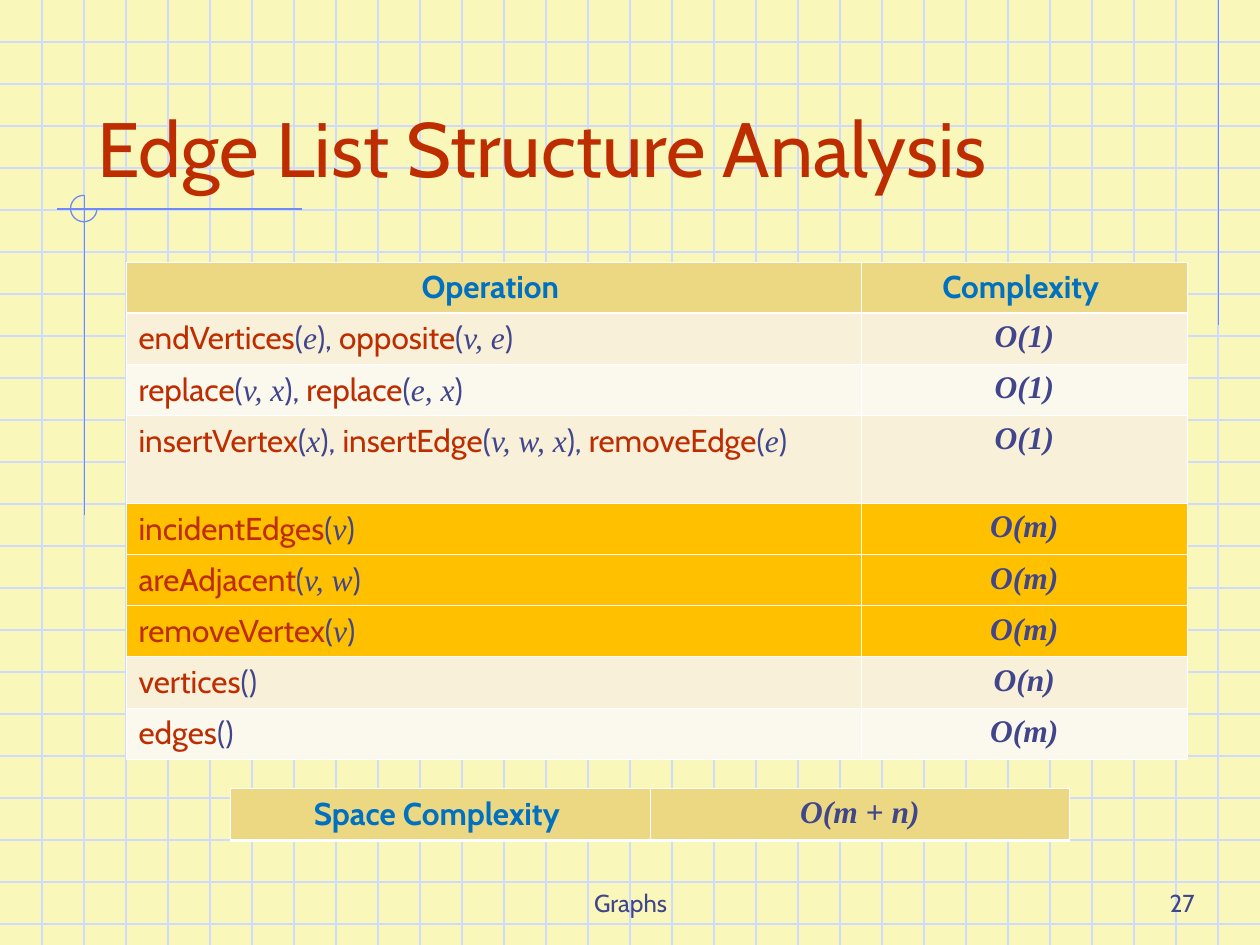
from dataclasses import dataclass

from lxml.etree import SubElement
from pptx import Presentation
from pptx.dml.color import RGBColor
from pptx.enum.shapes import MSO_CONNECTOR as Connector, MSO_SHAPE as Shape
from pptx.enum.text import MSO_ANCHOR as Anchor, MSO_AUTO_SIZE as AutoSize, PP_ALIGN as Align
from pptx.oxml.ns import qn
from pptx.util import Inches, Pt


@dataclass(frozen=True)
class Theme:
    # Colours
    paper: str = "F9F8BA"
    grid: str = "CFDBFD"
    rule: str = "6F89F7"
    accent: str = "BE2D00"
    text: str = "40458C"
    heading: str = "0070C0"
    head_fill: str = "ECD882"
    band_dark: str = "F8F0D8"
    band_light: str = "FBF8ED"
    highlight: str = "FFC000"
    border: str = "FFFFFF"
    # Fonts and sizes
    sans: str = "Cabin"
    serif: str = "Times New Roman"
    title_size: int = 44
    table_size: int = 18
    footer_size: int = 14
    # Line widths
    line: float = 0.75
    thin: float = 0.45
    thick: float = 1.47


def rgb(color):
    return RGBColor.from_string(color)


class SlideBuilder:
    def __init__(self, prs, theme):
        self.theme = theme
        self.slide = prs.slides.add_slide(prs.slide_layouts[5])
        fill = self.slide.background.fill
        fill.solid()
        fill.fore_color.rgb = rgb(theme.paper)

    def run(self, p, text, size, color, font=None, bold=False, italic=False):
        r = p.add_run()
        r.text = text
        f = r.font
        f.name, f.size, f.bold, f.italic = font or self.theme.sans, Pt(size), bold, italic
        f.color.rgb = rgb(color)

    def line(self, x1, y1, x2, y2, color):
        ends = [Inches(v) for v in (x1, y1, x2, y2)]
        ln = self.slide.shapes.add_connector(Connector.STRAIGHT, *ends)
        ln.line.color.rgb = rgb(color)
        ln.line.width = Pt(self.theme.line)
        SubElement(ln.element.spPr, qn("a:effectLst"))

    def arc(self, x, y, size):
        """Three quarters of a circle, open at the upper right."""
        sp = self.slide.shapes.add_shape(
            Shape.ARC, Inches(x), Inches(y), Inches(size), Inches(size))
        sp.adjustments[0] = 0
        sp.adjustments[1] = 162  # 270 degrees
        sp.shadow.inherit = False
        sp.fill.background()
        sp.line.color.rgb = rgb(self.theme.rule)
        sp.line.width = Pt(self.theme.line)

    def title(self, text, x, y, w, h):
        sp = self.slide.shapes.title
        self.slide.shapes.element.append(sp.element)  # above the grid
        sp.left, sp.top, sp.width, sp.height = (Inches(v) for v in (x, y, w, h))
        tf = sp.text_frame
        tf.auto_size, tf.word_wrap = AutoSize.NONE, True
        tf.vertical_anchor = Anchor.BOTTOM
        p = tf.paragraphs[0]
        p.alignment = Align.LEFT
        self.run(p, text, self.theme.title_size, self.theme.accent)

    def footer(self, text, x, w, align):
        sp = self.slide.shapes.add_textbox(Inches(x), Inches(6.83), Inches(w), Inches(0.5))
        tf = sp.text_frame
        tf.word_wrap = True
        tf.vertical_anchor = Anchor.BOTTOM
        p = tf.paragraphs[0]
        p.alignment = align
        self.run(p, text, self.theme.footer_size, self.theme.text)

    def table(self, x, y, cols, rows):
        sp = self.slide.shapes.add_table(
            len(rows), len(cols), Inches(x), Inches(y), Inches(sum(cols)), Inches(sum(rows)))
        tbl = sp.table
        tbl.first_row = tbl.horz_banding = False
        for col, width in zip(tbl.columns, cols):
            col.width = Inches(width)
        for row, height in zip(tbl.rows, rows):
            row.height = Inches(height)
        return tbl

    def cell(self, cell, fill, align=Align.CENTER, top=None, bottom=None):
        """Style a cell and return its paragraph."""
        t = self.theme
        tc_pr = cell._tc.get_or_add_tcPr()
        widths = {"a:lnL": t.thin, "a:lnR": t.thin,
                  "a:lnT": top or t.thin, "a:lnB": bottom or t.thin}
        for tag, width in widths.items():
            ln = SubElement(tc_pr, qn(tag), w=str(Pt(width)))
            SubElement(SubElement(ln, qn("a:solidFill")), qn("a:srgbClr"), val=t.border)
        cell.fill.solid()
        cell.fill.fore_color.rgb = rgb(fill)
        p = cell.text_frame.paragraphs[0]
        p.alignment = align
        return p

    def heading(self, p, text):
        self.run(p, text, self.theme.table_size, self.theme.heading, bold=True)

    def big_o(self, p, text):
        t = self.theme
        self.run(p, text, t.table_size, t.text, t.serif, bold=True, italic=True)

    def calls(self, p, calls):
        """Write calls such as name(args), with the arguments in italics."""
        t = self.theme
        size = t.table_size
        for i, (name, args) in enumerate(calls, 1):
            close = ")" if i == len(calls) else "), "
            self.run(p, name, size, t.accent)
            if args:
                self.run(p, "(", size, t.text)
                self.run(p, args, size, t.text, t.serif, italic=True)
                self.run(p, close, size, t.text)
            else:
                self.run(p, "(" + close, size, t.text)


def main():
    theme = Theme()
    prs = Presentation()
    prs.slide_width, prs.slide_height = Inches(10), Inches(7.5)
    s = SlideBuilder(prs, theme)

    # Graph paper: three squares to the inch
    for i in range(1, 23):
        s.line(0, i / 3, 10, i / 3, theme.grid)
    for i in range(1, 30):
        s.line(i / 3, 0, i / 3, 7.5, theme.grid)

    # Ruled ornaments
    s.line(9.67, 0, 9.67, 2.58, theme.rule)
    s.line(2.4, 1.66, 0.45, 1.66, theme.rule)
    s.line(0.67, 1.55, 0.67, 4.09, theme.rule)
    s.arc(0.56, 1.55, 0.21)

    # Footer and title
    s.footer("Graphs", 3.42, 3.17, Align.CENTER)
    s.footer("27", 7.5, 2.08, Align.RIGHT)
    s.title("Edge List Structure Analysis", 0.67, 0.33, 9.08, 1.25)

    # Operations table
    dark, light, high = theme.band_dark, theme.band_light, theme.highlight
    operations = [
        ([("endVertices", "e"), ("opposite", "v, e")], "O(1)", dark, 0.4),
        ([("replace", "v, x"), ("replace", "e, x")], "O(1)", light, 0.4),
        ([("insertVertex", "x"), ("insertEdge", "v, w, x"), ("removeEdge", "e")],
         "O(1)", dark, 0.7),
        ([("incidentEdges", "v")], "O(m)", high, 0.4),
        ([("areAdjacent", "v, w")], "O(m)", high, 0.4),
        ([("removeVertex", "v")], "O(m)", high, 0.4),
        ([("vertices", "")], "O(n)", dark, 0.4),
        ([("edges", "")], "O(m)", light, 0.4),
    ]
    tbl = s.table(1, 2.08, [5.84, 2.58], [0.4] + [op[3] for op in operations])
    for col, text in enumerate(("Operation ", "Complexity ")):
        s.heading(s.cell(tbl.cell(0, col), theme.head_fill, bottom=theme.thick), text)
    for row, (calls, cost, fill, _) in enumerate(operations, 1):
        top = theme.thick if row == 1 else theme.thin
        s.calls(s.cell(tbl.cell(row, 0), fill, Align.LEFT, top=top), calls)
        s.big_o(s.cell(tbl.cell(row, 1), fill, top=top), cost)

    # Space complexity table
    tbl = s.table(1.83, 6.26, [3.33, 3.33], [0.41])
    label, cost = (s.cell(tbl.cell(0, c), theme.head_fill, bottom=theme.thick) for c in (0, 1))
    s.heading(label, "Space Complexity ")
    s.big_o(cost, "O(m + n)")

    prs.save("out.pptx")


if __name__ == "__main__":
    main()
